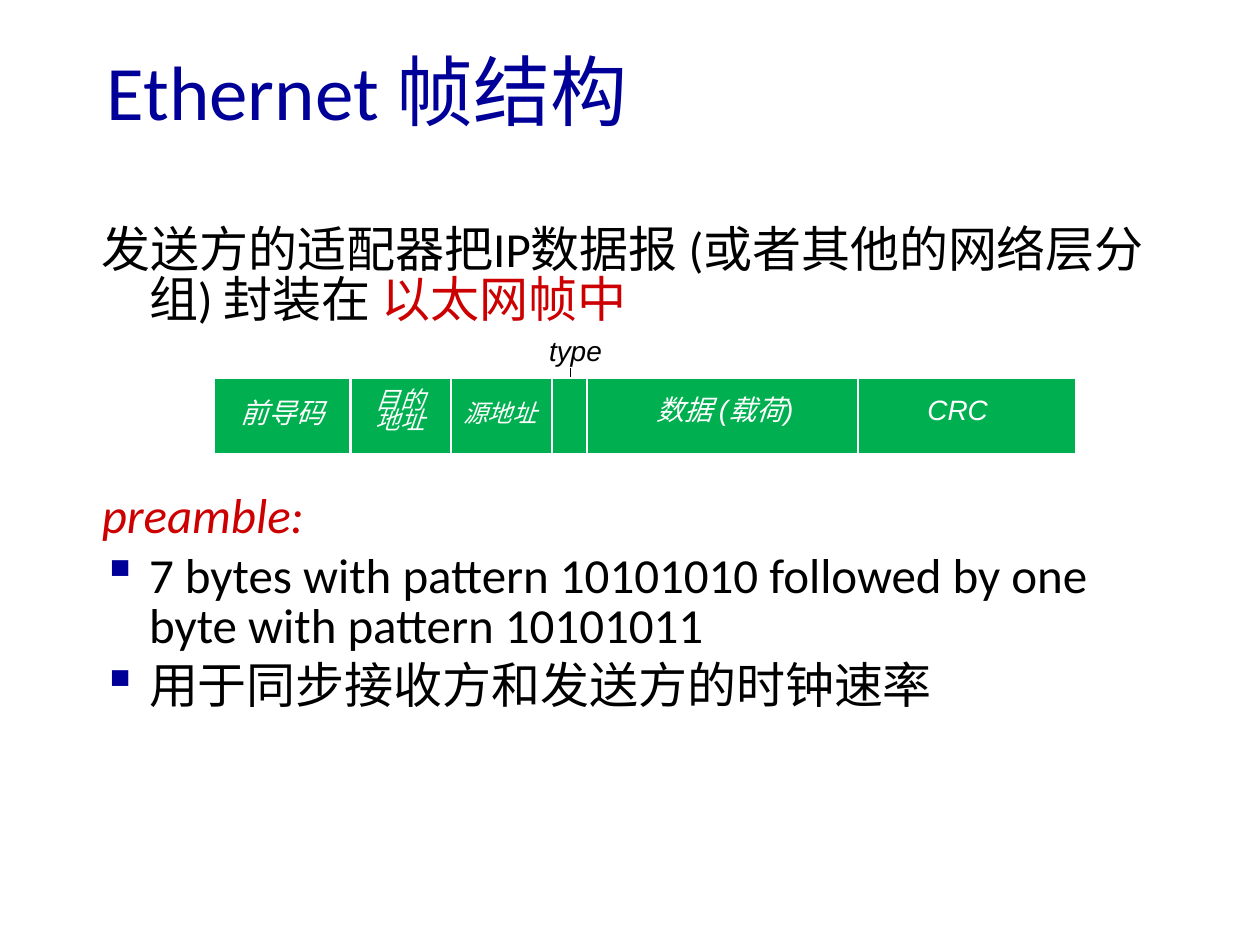
from dataclasses import dataclass

import lxml.etree
import pptx
import pptx.dml.color
import pptx.enum.shapes
import pptx.enum.text
import pptx.oxml.ns
import pptx.util

Pt = pptx.util.Pt
Align = pptx.enum.text.PP_ALIGN
Anchor = pptx.enum.text.MSO_ANCHOR
qn = pptx.oxml.ns.qn


@dataclass(frozen=True)
class Theme:
    navy: str = "000099"
    red: str = "CC0000"
    black: str = "000000"
    white: str = "FFFFFF"
    green: str = "00B050"
    head: str = "Calibri"
    sans: str = "Arial"
    title: float = 44
    body: float = 28
    label: float = 16
    small: float = 14


THEME = Theme()


@dataclass(frozen=True)
class Box:
    left: float
    top: float
    width: float
    height: float


@dataclass(frozen=True)
class Label:
    text: str
    box: Box
    size: float = THEME.label


@dataclass(frozen=True)
class Span:
    text: str
    color: str = THEME.black
    slant: bool = False


@dataclass(frozen=True)
class Item:
    spans: tuple[Span, ...]
    mark: bool = False


FRAME = Box(122.4, 216, 492.5, 43.2)
SPLITS = (200.2, 257.8, 315.4, 335.5, 490.3)
LABELS = (
    Label("目的\n地址", Box(195.8, 221, 66.2, 32.4), THEME.small),
    Label("源地址", Box(252.7, 229, 66.2, 19.4), THEME.small),
    Label("数据 (载荷)", Box(360, 228.2, 108.7, 20.2)),
    Label("CRC", Box(513.4, 228.2, 67.7, 20.9)),
    Label("前导码", Box(119.5, 229.7, 84.2, 20.2)),
)
INTRO = (
    Item((Span("发送方的适配器把IP数据报 (或者其他的网络层分组) 封装在 "),
          Span("以太网帧中", THEME.red))),
)
NOTES = (
    Item((Span("preamble:", THEME.red, True),)),
    Item((Span("7 bytes with pattern 10101010 followed by one byte "
               "with pattern 10101011"),), True),
    Item((Span("用于同步接收方和发送方的时钟速率"),), True),
)


def tint(code: str) -> pptx.dml.color.RGBColor:
    return pptx.dml.color.RGBColor.from_string(code)


def style(run, face: str, size: float, color: str, slant: bool = False) -> None:
    font = run.font
    font.name, font.size, font.italic = face, Pt(size), slant
    font.color.rgb = tint(color)


def add_box(slide, box: Box):
    shape = slide.shapes.add_textbox(
        Pt(box.left), Pt(box.top), Pt(box.width), Pt(box.height))
    shape.text_frame.word_wrap = True
    return shape.text_frame


def add_text(slide, label: Label, face: str, color: str, slant: bool):
    frame = add_box(slide, label.box)
    frame.text = label.text
    for para in frame.paragraphs:
        for run in para.runs:
            style(run, face, label.size, color, slant)
    return frame


def add_label(slide, label: Label) -> None:
    frame = add_text(slide, label, THEME.sans, THEME.white, True)
    for para in frame.paragraphs:
        para.alignment = Align.CENTER
        para.line_spacing = Pt(12)


def add_mark(para) -> None:
    props = para._p.get_or_add_pPr()
    color = lxml.etree.SubElement(props, qn("a:buClr"))
    lxml.etree.SubElement(color, qn("a:srgbClr"), val=THEME.navy)
    lxml.etree.SubElement(props, qn("a:buChar"), char="▪")


def add_list(slide, box: Box, items: tuple[Item, ...]) -> None:
    frame = add_box(slide, box)
    for row, item in enumerate(items):
        para = frame.add_paragraph() if row else frame.paragraphs[0]
        para.line_spacing = 0.85
        para.space_before = Pt(5.6 if row else 0)
        props = para._p.get_or_add_pPr()
        props.set("marL", str(Pt(27)))
        props.set("indent", str(Pt(-27)))
        if item.mark:
            add_mark(para)
        for span in item.spans:
            run = para.add_run()
            run.text = span.text
            style(run, THEME.head, THEME.body, span.color, span.slant)


def add_rule(slide, left: float, top: float, end: float,
             color: str, width: float) -> None:
    rule = slide.shapes.add_connector(
        pptx.enum.shapes.MSO_CONNECTOR.STRAIGHT,
        Pt(left), Pt(top), Pt(left), Pt(end))
    rule.line.color.rgb = tint(color)
    rule.line.width = Pt(width)
    lxml.etree.SubElement(rule._element.spPr, qn("a:effectLst"))


def add_frame(slide) -> None:
    add_rule(slide, 326.2, 210.2, 226, THEME.black, 0.75)
    bar = slide.shapes.add_shape(
        pptx.enum.shapes.MSO_SHAPE.RECTANGLE,
        Pt(FRAME.left), Pt(FRAME.top), Pt(FRAME.width), Pt(FRAME.height))
    bar.shadow.inherit = False
    bar.fill.solid()
    bar.fill.fore_color.rgb = tint(THEME.green)
    bar.line.color.rgb = tint(THEME.white)
    bar.line.width = Pt(0.75)
    for left in SPLITS:
        add_rule(slide, left, FRAME.top, FRAME.top + FRAME.height,
                 THEME.white, 1.5)
    for label in LABELS:
        add_label(slide, label)
    add_text(slide, Label("type", Box(306.7, 187.2, 60.5, 26.6)),
             THEME.sans, THEME.black, True)


def main() -> None:
    deck = pptx.Presentation()
    deck.slide_width, deck.slide_height = Pt(720), Pt(540)
    slide = deck.slides.add_slide(deck.slide_layouts[6])
    title = Label("Ethernet 帧结构", Box(54, 27.4, 612, 48.2), THEME.title)
    frame = add_text(slide, title, THEME.head, THEME.navy, False)
    frame.vertical_anchor = Anchor.MIDDLE
    add_list(slide, Box(51.1, 126.7, 612, 66), INTRO)
    add_frame(slide)
    add_list(slide, Box(51.1, 278.6, 612, 190), NOTES)
    deck.save("out.pptx")


if __name__ == "__main__":
    main()
